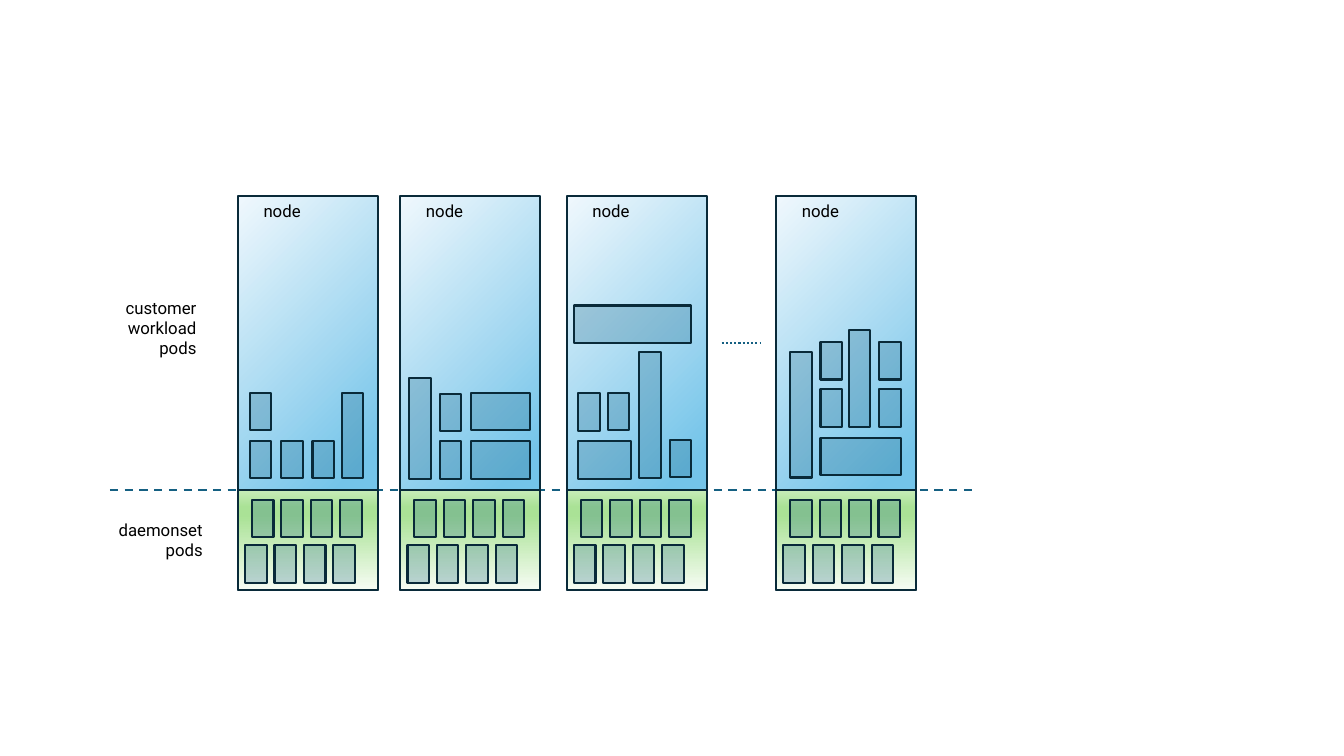
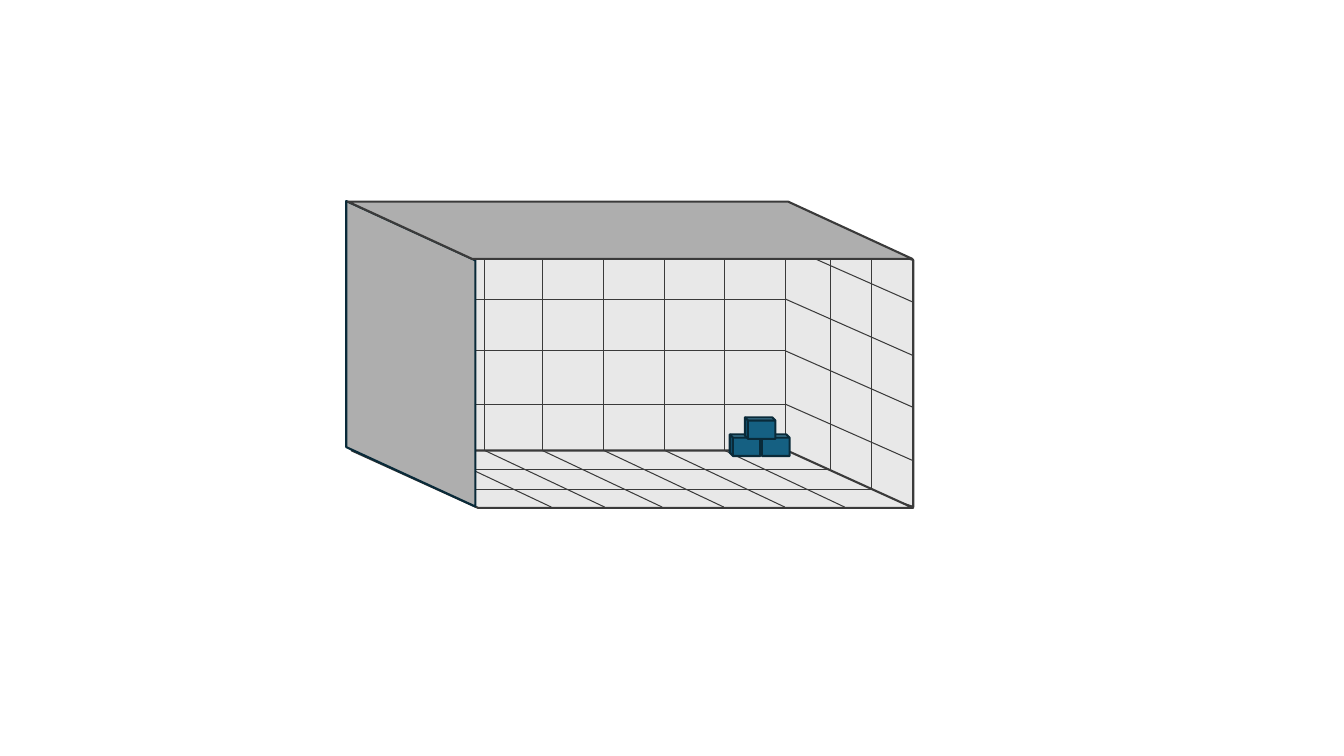
from lxml.etree import SubElement
from pptx import Presentation
from pptx.dml.color import RGBColor
from pptx.enum.dml import MSO_LINE
from pptx.enum.shapes import MSO_CONNECTOR, MSO_SHAPE
from pptx.enum.text import PP_ALIGN
from pptx.oxml import parse_xml
from pptx.oxml.ns import nsdecls, qn
from pptx.util import Pt

# Shared style
FONT = "Roboto"
TEXT, TEAL, NAVY = "000000", "156082", "092A39"
GRAPHITE, PALE_GREY, MID_GREY = "3A3A3A", "E8E8E8", "AEAEAE"
BLUE_STOPS = [(0, "F0F8FD"), (74, "74C4E9"), (83, "74C4E9"), (100, "A2D8F0")]
GREEN_STOPS = [(0, "F6FCF3"), (74, "AAE296"), (83, "AAE296"), (100, "C7ECB9")]
OUTLINE, GRID = 1.5, 0.75

# Node layout
NODE_WIDTH, NODE_HEIGHT, DAEMON_TOP = 100.1, 281.5, 210.3
POD_WIDTH, POD_HEIGHT, POD_STEP = 15.4, 26.8, 21
DAEMON_ROWS = [(10.1, 217.4), (5.2, 249.8)]

# Each node: its left edge, then customer pods as (x, y, width, height)
W, H = POD_WIDTH, POD_HEIGHT
NODES = [
    (169.9, [(8.6, 175, W, H), (31, 175, W, H), (53.3, 175, W, H),
             (74.2, 140.8, W, 61.2), (8.6, 140.8, W, H)]),
    (285.9, [(28.2, 141.5, W, H), (6.5, 130.3, W, 72), (28.2, 175.5, W, H),
             (50.6, 175.5, 42, H), (50.6, 140.8, 42, H)]),
    (404.8, [(29.4, 140.8, W, H), (51.7, 112, W, 90), (8.1, 141.2, W, H),
             (8.1, 175.5, 38, H), (73.6, 174.4, W, H), (5.2, 78.5, 83.6, H)]),
    (554.4, [(10.1, 112, W, 89.4), (31.7, 173, 57.4, H), (31.7, 104.6, W, H),
             (31.7, 138.4, W, H), (52, 96.2, W, 69.4), (73.6, 104.6, W, H),
             (73.6, 138.4, W, H)]),
]


def color(hex_value):
    return RGBColor.from_string(hex_value)


def add_shape(shapes, kind, box, fill=None, line=None, adjustment=None,
              rotation=0, flipped=False):
    shape = shapes.add_shape(kind, *[Pt(length) for length in box])
    shape.shadow.inherit = False
    shape.rotation = rotation
    if fill:
        shape.fill.solid()
        shape.fill.fore_color.rgb = color(fill)
    if line:
        shape.line.color.rgb = color(line)
        shape.line.width = Pt(OUTLINE)
    else:
        shape.line.fill.background()
    if adjustment is not None:
        shape.adjustments[0] = adjustment
    if flipped:
        shape._element.spPr.find(qn("a:xfrm")).set("flipH", "1")
    return shape


def add_gradient_panel(shapes, box, stops, angle):
    panel = add_shape(shapes, MSO_SHAPE.RECTANGLE, box, line=NAVY)
    stop_xml = "".join(
        f'<a:gs pos="{position * 1000}"><a:srgbClr val="{value}"/></a:gs>'
        for position, value in stops)
    gradient = parse_xml(
        f'<a:gradFill {nsdecls("a")} rotWithShape="1"><a:gsLst>{stop_xml}</a:gsLst>'
        f'<a:lin ang="{angle * 60000}" scaled="1"/></a:gradFill>')
    panel._element.spPr.find(qn("a:prstGeom")).addnext(gradient)


def add_line(shapes, start, end, line=GRAPHITE, width=GRID, dash=None):
    connector = shapes.add_connector(
        MSO_CONNECTOR.STRAIGHT, *[Pt(length) for length in (*start, *end)])
    connector.line.color.rgb = color(line)
    connector.line.width = Pt(width)
    if dash:
        connector.line.dash_style = dash
    SubElement(connector._element.spPr, qn("a:effectLst"))


def add_label(shapes, box, lines, alignment):
    frame = shapes.add_textbox(*[Pt(length) for length in box]).text_frame
    frame.word_wrap = True
    frame.text = "\n".join(lines)
    for paragraph in frame.paragraphs:
        paragraph.alignment = alignment
        paragraph.font.name = FONT
        paragraph.font.size = Pt(12)
        paragraph.font.color.rgb = color(TEXT)


def add_pod(shapes, box):
    pod = add_shape(shapes, MSO_SHAPE.RECTANGLE, box, TEAL, NAVY)
    fill_color = pod._element.spPr.find(qn("a:solidFill")).find(qn("a:srgbClr"))
    SubElement(fill_color, qn("a:alpha")).set("val", "25000")


def add_node(slide, left, top, customer_pods):
    shapes = slide.shapes.add_group_shape().shapes
    # Panels and name
    add_gradient_panel(shapes, (left, top, NODE_WIDTH, NODE_HEIGHT), BLUE_STOPS, 45)
    add_label(shapes, (left + 4.3, top, 54.7, 21.8), ["node"], PP_ALIGN.CENTER)
    add_gradient_panel(
        shapes, (left, top + DAEMON_TOP, NODE_WIDTH, NODE_HEIGHT - DAEMON_TOP),
        GREEN_STOPS, 270)
    # Daemonset pods, four in each row
    for row_left, row_top in DAEMON_ROWS:
        for column in range(4):
            add_pod(shapes, (left + row_left + column * POD_STEP, top + row_top,
                             POD_WIDTH, POD_HEIGHT))
    # Customer pods
    for x, y, width, height in customer_pods:
        add_pod(shapes, (left + x, top + y, width, height))


def build_node_slide(slide, top):
    shapes = slide.shapes
    # Row labels
    add_label(shapes, (64.1, top + 228.2, 87.8, 36), ["daemonset", "pods"],
              PP_ALIGN.RIGHT)
    add_label(shapes, (59.6, top + 69.1, 87.8, 51), ["customer workload", "pods"],
              PP_ALIGN.RIGHT)
    # Ellipsis and divider
    add_line(shapes, (515.5, top + 105.1), (542.9, top + 105.1), TEAL, OUTLINE,
             MSO_LINE.ROUND_DOT)
    add_line(shapes, (78.5, top + DAEMON_TOP), (697, top + DAEMON_TOP), TEAL, OUTLINE,
             MSO_LINE.DASH)
    for left, customer_pods in NODES:
        add_node(slide, left, top, customer_pods)


def build_room_slide(slide, left, top):
    shapes = slide.shapes
    floor_top, floor_bottom = 177.8, 218.2
    front_left, corner, front_right = 89.5, 312.6, 403.7
    columns = [97.9, 139, 183, 226.6, 269.3]
    rows = [31.5, 69.6, 106.6, 144.7]

    def part(kind, x, y, width, height, *style, **options):
        add_shape(shapes, kind, (left + x, top + y, width, height), *style, **options)

    def rule(x1, y1, x2, y2):
        add_line(shapes, (left + x1, top + y1), (left + x2, top + y2))

    # Right wall, back wall and floor
    part(MSO_SHAPE.PARALLELOGRAM, 254.9, 69.1, 205.9, 92.2, PALE_GREY, GRAPHITE,
         adjustment=0.32, rotation=90)
    part(MSO_SHAPE.RECTANGLE, 14.4, 12.2, 298.1, 165.6, PALE_GREY)
    part(MSO_SHAPE.PARALLELOGRAM, 2.9, floor_top, 401, 41, PALE_GREY, GRAPHITE,
         adjustment=2.2, flipped=True)

    # Grid columns up the back wall and across the floor
    for x in columns:
        rule(x, floor_top, x, 12.2)
    for x in [59.8, *columns]:
        rule(x, floor_top, x + 85.6, floor_bottom)
    # Grid depth lines on the floor and right wall
    for x, bottom, upper in [(344.9, 191.5, 25.2), (374.4, 205.9, 31.7)]:
        rule(x, bottom, x, upper)
        rule(front_left, bottom, x, bottom)
    # Grid rows along the back and right walls
    for y in rows:
        rule(front_left, y, corner, y)
        rule(corner, y, front_right, y + 40.3)

    # Left side and back corner
    part(MSO_SHAPE.PARALLELOGRAM, -64.1, 62.6, 218.2, 92.2, MID_GREY, NAVY,
         adjustment=0.46, rotation=90)
    rule(corner, 177.1, corner, 6.5)
    # Stacked cubes
    for x, y in [(293.8, 166.3), (272.9, 166.3), (283.7, 154.1)]:
        part(MSO_SHAPE.CUBE, x, y, 21.8, 15.4, TEAL, NAVY, adjustment=0.15, flipped=True)
    # Roof
    part(MSO_SHAPE.PARALLELOGRAM, 0, 0, 403.4, 41, MID_GREY, GRAPHITE,
         adjustment=2.17, flipped=True)


def main():
    presentation = Presentation()
    presentation.slide_width, presentation.slide_height = Pt(960), Pt(540)
    blank = presentation.slide_layouts[6]
    build_node_slide(presentation.slides.add_slide(blank), 139.7)
    build_room_slide(presentation.slides.add_slide(blank), 248.4, 144)
    presentation.save("out.pptx")


if __name__ == "__main__":
    main()
